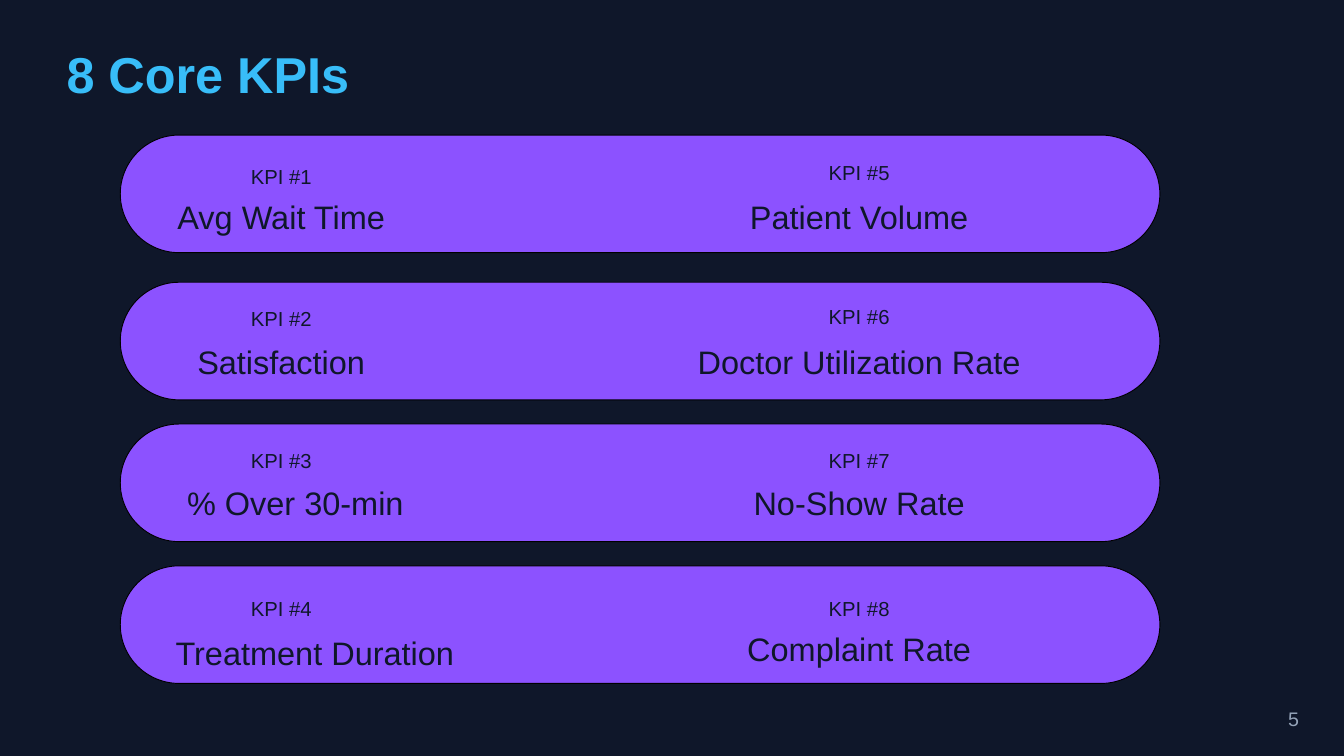
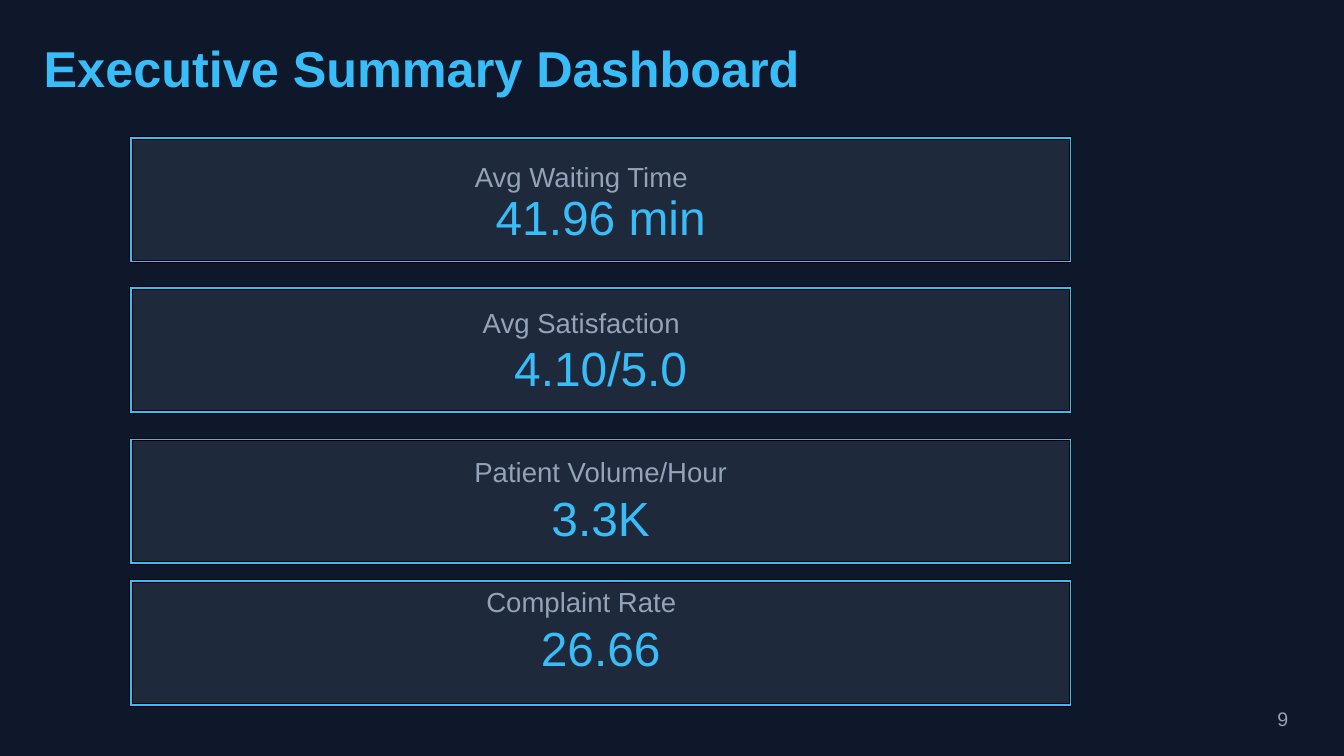
from pptx import Presentation
from pptx.dml.color import RGBColor
from pptx.enum import shapes, text
from pptx.util import Inches, Pt

COLORS = {
    "background": "0F172A", "card": "1E293B", "accent": "38BDF8",
    "muted": "94A3B8", "bar": "8C52FF", "outline": "000000",
}
FONT = "Arial"

# Each bar: its top, then (label, label top, name, name top, name shift) per column
KPI_BARS = [
    (2.01, [("KPI #1", 2.38, "Avg Wait Time", 2.83, 0),
            ("KPI #5", 2.32, "Patient Volume", 2.83, 0)]),
    (4.20, [("KPI #2", 4.50, "Satisfaction", 5.00, 0),
            ("KPI #6", 4.47, "Doctor Utilization Rate", 5.00, 0)]),
    (6.31, [("KPI #3", 6.61, "% Over 30-min", 7.09, 0.21),
            ("KPI #7", 6.61, "No-Show Rate", 7.09, 0)]),
    (8.42, [("KPI #4", 8.81, "Treatment Duration", 9.33, 0.5),
            ("KPI #8", 8.81, "Complaint Rate", 9.26, 0)]),
]
KPI_COLUMNS = [-3.4, 5.2]
KPI_TEXT_WIDTH = 15.17
BAR_LEFT, BAR_WIDTH, BAR_HEIGHT = 1.79, 15.47, 1.75

# Card top, label, label left, label top, value
SUMMARY_CARDS = [
    (2.05, "Avg Waiting Time", 1.93, 2.30, "41.96 min"),
    (4.29, "Avg Satisfaction", 1.93, 4.47, "4.10/5.0"),
    (6.54, "Patient Volume/Hour", 2.22, 6.69, "3.3K"),
    (8.65, "Complaint Rate", 1.93, 8.63, "26.66"),
]
CARD_LEFT, CARD_WIDTH, CARD_HEIGHT = 1.95, 13.98, 1.84
FRAME_OUTSET, FRAME_THICKNESS = 0.02, 0.04
VALUE_LEFT, CARD_TEXT_WIDTH = 2.22, 13.44
VALUE_OFFSETS = [0.6, 0.6, 0.59, 0.42]


def color(name):
    return RGBColor.from_string(COLORS[name])


def add_text(slide, content, left, top, width, height, *, size, spacing,
             ink, bold=False, centered=True):
    box = slide.shapes.add_textbox(*map(Inches, (left, top, width, height)))
    frame = box.text_frame
    frame.word_wrap = True
    frame.margin_left = frame.margin_right = frame.margin_top = frame.margin_bottom = 0
    paragraph = frame.paragraphs[0]
    paragraph.alignment = text.PP_ALIGN.CENTER if centered else text.PP_ALIGN.LEFT
    paragraph.line_spacing = Pt(spacing)
    run = paragraph.add_run()
    run.text = content
    run.font.name, run.font.size, run.font.bold = FONT, Pt(size), bold
    run.font.color.rgb = color(ink)


def add_outlined(slide, kind, left, top, width, height, fill, adjustment=None):
    shape = slide.shapes.add_shape(kind, *map(Inches, (left, top, width, height)))
    shape.shadow.inherit = False
    shape.fill.solid()
    shape.fill.fore_color.rgb = color(fill)
    shape.line.color.rgb = color("outline")
    shape.line.width = Pt(1)
    if adjustment is not None:
        shape.adjustments[0] = adjustment


def add_base_slide(presentation, title, title_box, number, number_left, number_width):
    """Add a dark slide with its title and page number."""
    slide = presentation.slides.add_slide(presentation.slide_layouts[6])
    slide.background.fill.solid()
    slide.background.fill.fore_color.rgb = color("background")
    add_text(slide, title, *title_box, size=54, spacing=64.8, ink="accent",
             bold=True, centered=False)
    add_text(slide, number, number_left, 10.46, number_width, 0.81, size=21,
             spacing=29.4, ink="muted", centered=False)
    return slide


def build_kpis(presentation):
    slide = add_base_slide(presentation, "8 Core KPIs", (0.99, 0.64, 4.6, 0.93),
                           "5", 19.17, 0.17)
    for bar_top, kpis in KPI_BARS:
        add_outlined(slide, shapes.MSO_SHAPE.ROUNDED_RECTANGLE, BAR_LEFT, bar_top,
                     BAR_WIDTH, BAR_HEIGHT, "bar", 0.5)
        for left, (label, label_top, name, name_top, shift) in zip(KPI_COLUMNS, kpis):
            add_text(slide, label, left, label_top, KPI_TEXT_WIDTH, 0.42,
                     size=21.7, spacing=30.4, ink="background")
            add_text(slide, name, left + shift, name_top, KPI_TEXT_WIDTH, 0.66,
                     size=34.8, spacing=48.7, ink="background")


def build_summary(presentation):
    slide = add_base_slide(presentation, "Executive Summary Dashboard",
                           (0.65, 0.56, 17.68, 0.93), "9", 19.01, 0.33)
    frame_width = CARD_WIDTH + 2 * FRAME_OUTSET
    frame_height = CARD_HEIGHT + 2 * FRAME_OUTSET
    for card, value_offset in zip(SUMMARY_CARDS, VALUE_OFFSETS):
        top, label, label_left, label_top, value = card
        add_outlined(slide, shapes.MSO_SHAPE.RECTANGLE, CARD_LEFT, top,
                     CARD_WIDTH, CARD_HEIGHT, "card")
        add_outlined(slide, shapes.MSO_SHAPE.FRAME, CARD_LEFT - FRAME_OUTSET,
                     top - FRAME_OUTSET, frame_width, frame_height, "accent",
                     FRAME_THICKNESS / frame_height)
        add_text(slide, label, label_left, label_top, CARD_TEXT_WIDTH, 0.57,
                 size=29.5, spacing=41.3, ink="muted")
        add_text(slide, value, VALUE_LEFT, top + value_offset, CARD_TEXT_WIDTH, 0.98,
                 size=51.3, spacing=71.8, ink="accent")


def main():
    presentation = Presentation()
    presentation.slide_width, presentation.slide_height = Inches(20), Inches(11.25)
    build_kpis(presentation)
    build_summary(presentation)
    presentation.save("out.pptx")


if __name__ == "__main__":
    main()
